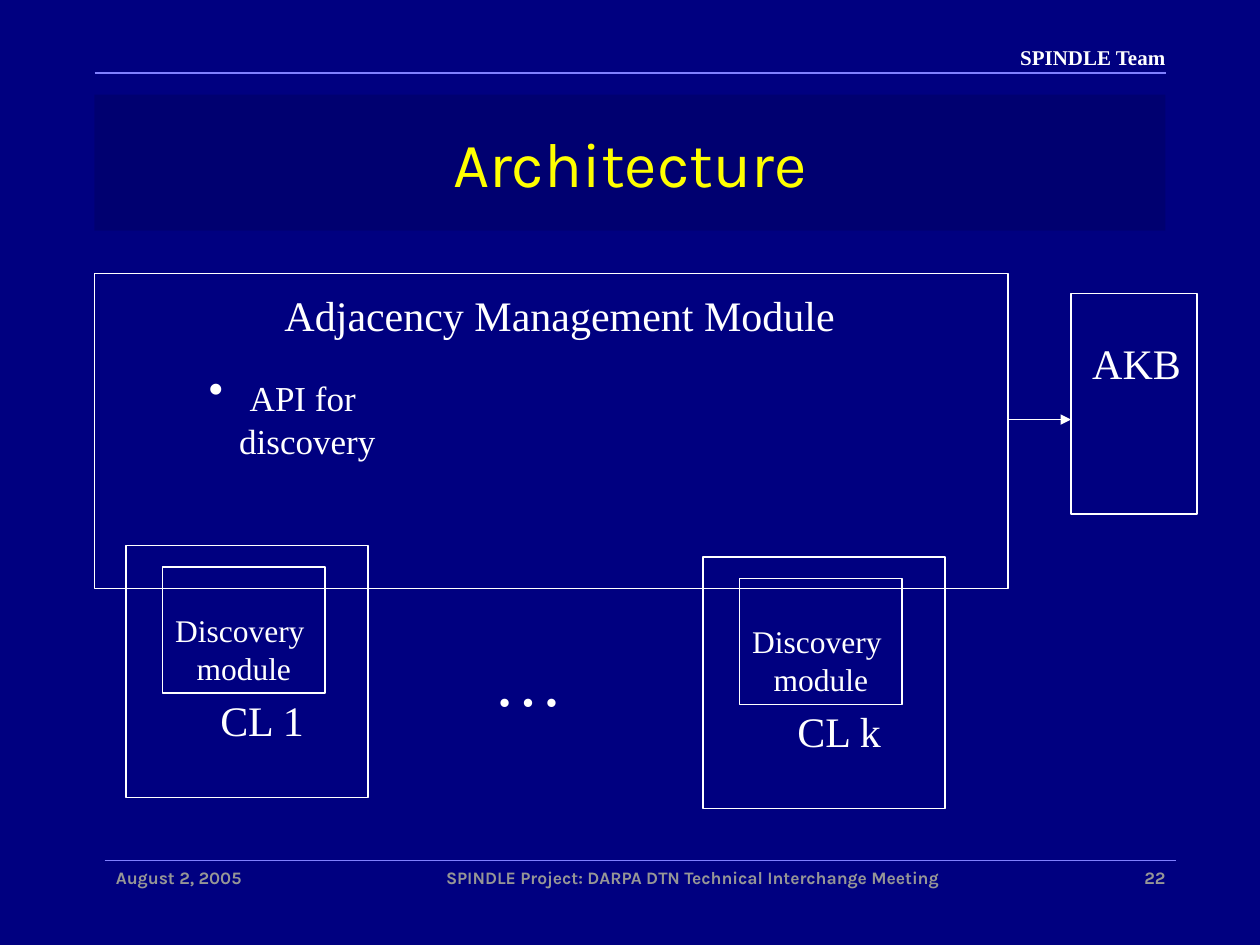
from lxml.etree import SubElement
from pptx import Presentation
from pptx.dml.color import RGBColor
from pptx.enum.shapes import MSO_CONNECTOR, MSO_SHAPE
from pptx.enum.text import MSO_ANCHOR as Anchor, PP_ALIGN as Align
from pptx.oxml.ns import qn
from pptx.util import Inches, Pt

# Content
TITLE = "Architecture"
TEAM = "SPINDLE Team"
DISCOVERY = ["Discovery ", "module"]
LAYERS = [("CL 1", 1, 4.33), ("CL k", 5.58, 4.42)]  # name, left, top
LABELS = [  # text, left, top, width, height, size
    ("…", 3.82, 5, 0.75, 0.77, 40),
    ("Adjacency Management Module", 2.16, 2.25, 4.57, 0.5, 24),
    ("AKB", 8.57, 2.63, 0.93, 0.5, 24),
]
FOOTER = [  # text, left, width, alignment, side inset
    ("SPINDLE Project: DARPA DTN Technical Interchange Meeting",
     2.58, 5.83, Align.CENTER, 0.1),
    ("22", 8.42, 0.83, Align.RIGHT, 0),
    ("August 2, 2005", 0.92, 1.67, Align.LEFT, 0),
]

# Style
SERIF, SANS = "Times New Roman", "Karla"
NAVY, PANEL, WHITE = "000080", "000062", "FFFFFF"
YELLOW, GREY, RULE = "FFFF00", "969696", "8080FF"
LEFT, WIDTH = 0.75, 8.5
FOOT_TOP = 6.83


def color(value):
    return RGBColor.from_string(value)


def write(shape, lines, size, font=SERIF, ink=WHITE, bold=False,
          align=Align.LEFT, anchor=Anchor.TOP, wrap=False,
          insets=(0.1, 0.05, 0.1, 0.05)):
    frame = shape.text_frame
    frame.word_wrap = wrap
    frame.vertical_anchor = anchor
    (frame.margin_left, frame.margin_top,
     frame.margin_right, frame.margin_bottom) = map(Inches, insets)
    frame.text = "\n".join(lines)
    for para in frame.paragraphs:
        para.alignment = align
        para.font.size = Pt(size)
        para.font.name = font
        para.font.bold = bold
        para.font.color.rgb = color(ink)
    return frame


def add_text(shapes, area, text, size, **style):
    box = shapes.add_textbox(*map(Inches, area))
    return write(box, [text], size, **style)


def add_box(shapes, *area):
    box = shapes.add_shape(MSO_SHAPE.RECTANGLE, *map(Inches, area))
    box.shadow.inherit = False
    box.fill.background()
    box.line.color.rgb = color(WHITE)
    box.line.width = Pt(0.75)
    return box


def add_line(shapes, left, right, top, ink):
    line = shapes.add_connector(
        MSO_CONNECTOR.STRAIGHT, *map(Inches, (left, top, right, top)))
    line.line.color.rgb = color(ink)
    line.line.width = Pt(0.75)
    SubElement(line._element.spPr, qn("a:effectLst"))
    return line


deck = Presentation()
deck.slide_width, deck.slide_height = Inches(10), Inches(7.5)
page = deck.slides.add_slide(deck.slide_layouts[6])
page.background.fill.solid()
page.background.fill.fore_color.rgb = color(NAVY)
shapes = page.shapes

# Header and footer rules
add_line(shapes, 0.83, 0.83 + WIDTH, FOOT_TOP, RULE)
add_text(shapes, (7.83, 0.25, 1.42, 0.41), TEAM, 12, bold=True,
         align=Align.RIGHT, anchor=Anchor.MIDDLE, insets=(0, 0, 0, 0))
add_line(shapes, LEFT, LEFT + WIDTH, 0.58, RULE)

# Title on a half-transparent panel
panel = add_box(shapes, LEFT, 0.75, WIDTH, 1.08)
panel.line.fill.background()
panel.fill.solid()
panel.fill.fore_color.rgb = color(PANEL)
tint = panel._element.spPr.find(qn("a:solidFill"))[0]
SubElement(tint, qn("a:alpha"), val="50000")
write(panel, [TITLE], 36, font=SANS, ink=YELLOW, align=Align.CENTER,
      anchor=Anchor.MIDDLE, wrap=True)

# Adjacency module, with a convergence layer hanging below at each end
add_box(shapes, LEFT, 2.17, 7.25, 2.5)
for name, left, top in LAYERS:
    layer = shapes.add_group_shape().shapes
    add_box(layer, left, top, 1.92, 2)
    module = add_box(layer, left + 0.29, top + 0.17, 1.29, 1)
    write(module, DISCOVERY, 18, align=Align.CENTER,
          insets=(0.1, 0.35, 0.1, 0.05))
    add_text(layer, (left + 0.65, top + 1.13, 0.87, 0.5), name, 24)

# Knowledge base and its arrow
add_box(shapes, 8.5, 2.33, 1, 1.75)
for text, *area, size in LABELS:
    add_text(shapes, area, text, size)
arrow = add_line(shapes, 8, 8.5, 3.33, WHITE)
SubElement(arrow.line._get_or_add_ln(), qn("a:tailEnd"), type="triangle")

# Bullet, set off by a larger space
frame = add_text(shapes, (1.56, 2.88, 2.39, 0.5), " ", 24, wrap=True)
para = frame.paragraphs[0]
props = para._p.get_or_add_pPr()
props.set("marL", str(Inches(0.24)))
props.set("indent", str(-Inches(0.24)))
bullet = props.makeelement(qn("a:buChar"), {"char": "•"})
props.insert(0, bullet)
span = para.add_run()
span.text = "API for discovery"
span.font.size = Pt(20)

# Footer
for text, left, width, align, side in FOOTER:
    add_text(shapes, (left, FOOT_TOP, width, 0.5), text, 10, font=SANS,
             ink=GREY, bold=True, align=align, wrap=True,
             insets=(side, 0.05, side, 0))

deck.save("out.pptx")
